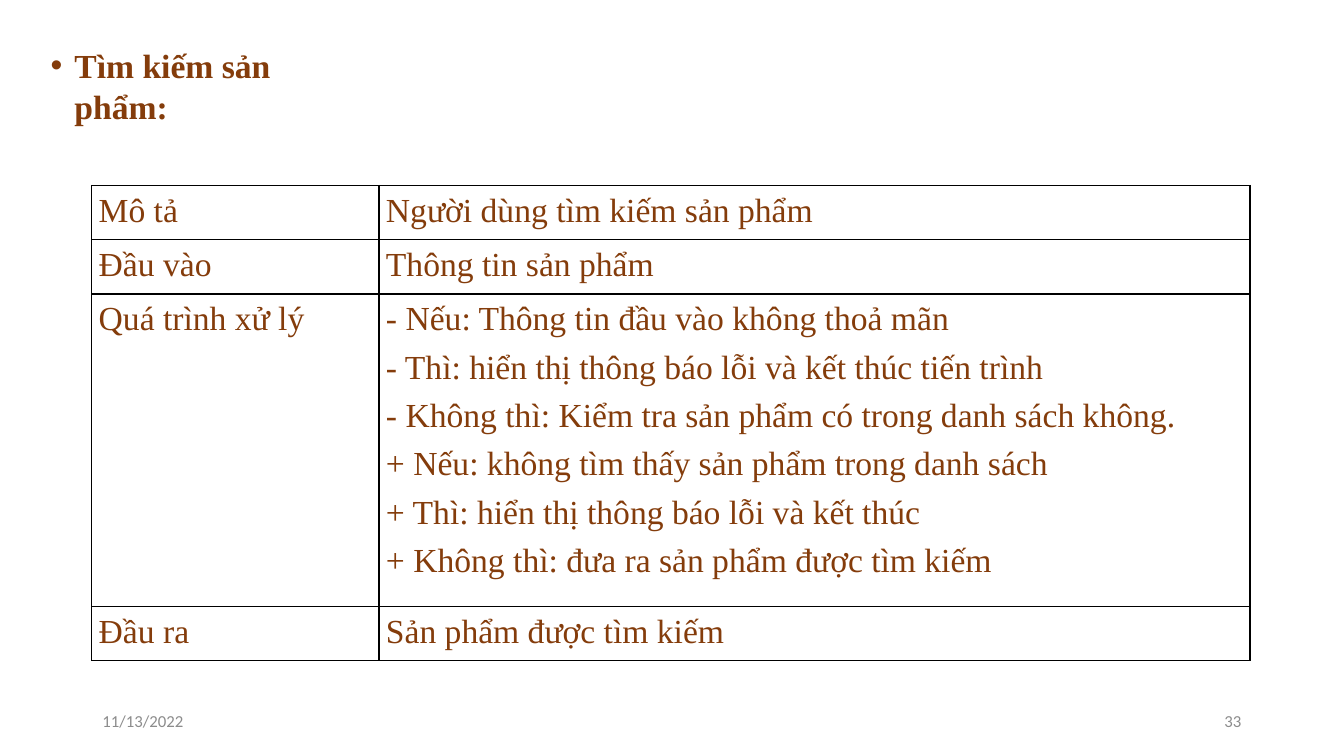
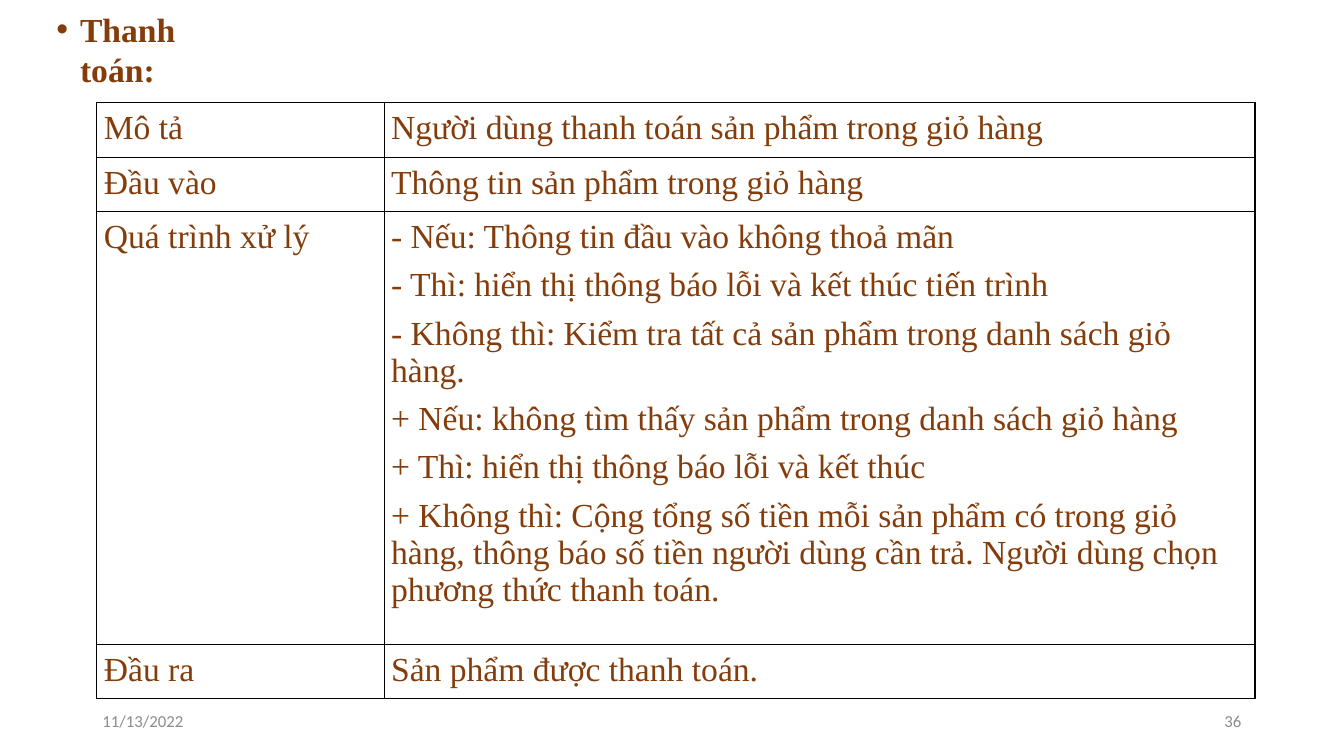
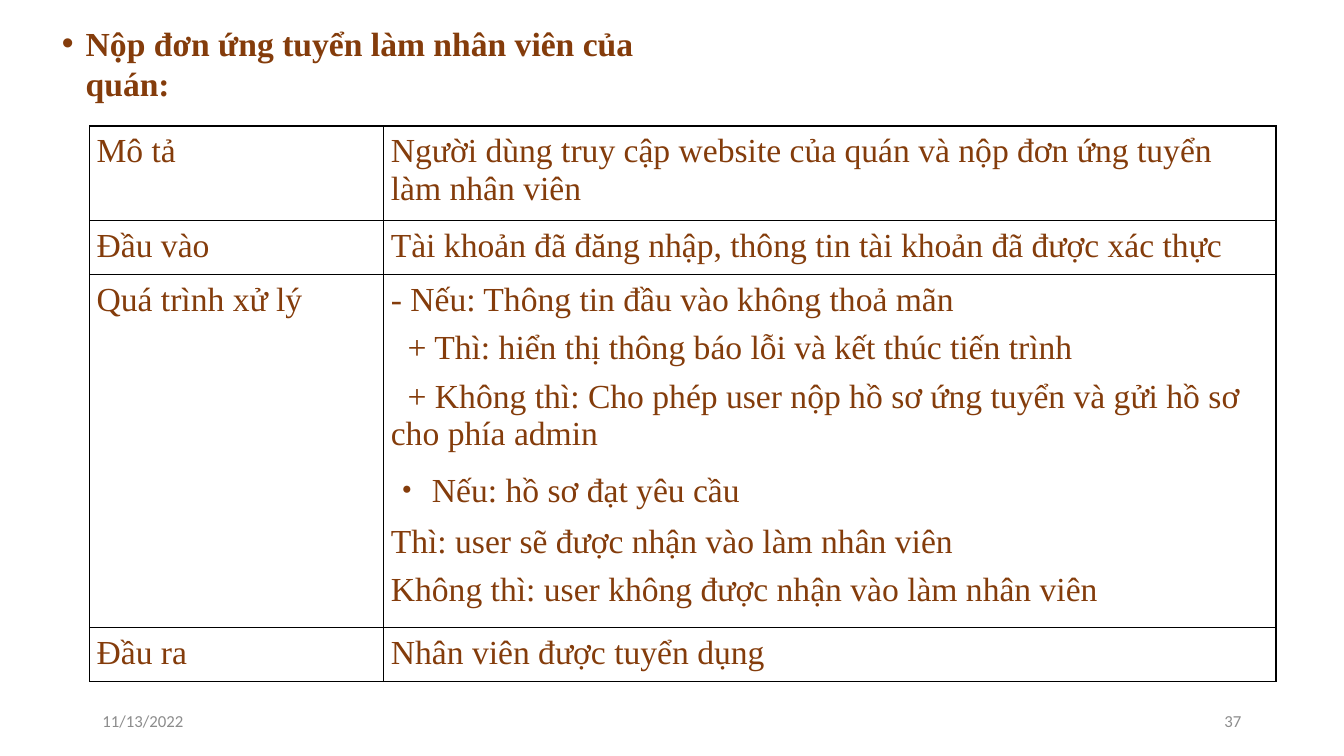
from copy import deepcopy

from lxml import etree
from pptx import Presentation
from pptx.dml.color import RGBColor
from pptx.enum.text import MSO_ANCHOR, MSO_AUTO_SIZE, PP_ALIGN
from pptx.oxml.ns import qn
from pptx.util import Pt

LEFT, RIGHT = PP_ALIGN.LEFT, PP_ALIGN.RIGHT
MIDDLE = MSO_ANCHOR.MIDDLE
NO_AUTOFIT = MSO_AUTO_SIZE.NONE

COLORS = {"text": "843C0B", "footer": "8C8C8C", "border": "000000"}
SERIF, SANS = "Times New Roman", "Calibri"
DATE = "11/13/2022"
LABELS = ["Mô tả", "Đầu vào", "Quá trình xử lý", "Đầu ra"]
LINE_ROW = 38.8
CELL_INSET = 5
PLUS_INDENT = 12  # first-line indent of the sub-steps
INDENTED = "\t"   # marks a sub-step in the lists below

FUNCTIONS = [
    {
        "number": 33,
        "title": "Tìm kiếm sản phẩm:",
        "title_box": (29, 47, 238),
        "table_at": (65.5, 132.5),
        "columns": (205.2, 622.1),
        "rows": (LINE_ROW, LINE_ROW, 222.9, LINE_ROW),
        "details": [
            ["Người dùng tìm kiếm sản phẩm"],
            ["Thông tin sản phẩm"],
            ["- Nếu: Thông tin đầu vào không thoả mãn",
             "- Thì: hiển thị thông báo lỗi và kết thúc tiến trình",
             "- Không thì: Kiểm tra sản phẩm có trong danh sách không.",
             "+ Nếu: không tìm thấy sản phẩm trong danh sách",
             "+ Thì: hiển thị thông báo lỗi và kết thúc",
             "+ Không thì: đưa ra sản phẩm được tìm kiếm"],
            ["Sản phẩm được tìm kiếm"],
        ],
    },
    {
        "number": 36,
        "title": "Thanh toán:",
        "title_box": (33, 21, 152),
        "table_at": (69.2, 73.5),
        "columns": (205.2, 622.1),
        "rows": (LINE_ROW, LINE_ROW, 309.2, LINE_ROW),
        "details": [
            ["Người dùng thanh toán sản phẩm trong giỏ hàng"],
            ["Thông tin sản phẩm trong giỏ hàng"],
            ["- Nếu: Thông tin đầu vào không thoả mãn",
             "- Thì: hiển thị thông báo lỗi và kết thúc tiến trình",
             "- Không thì: Kiểm tra tất cả sản phẩm trong danh sách giỏ hàng.",
             "+ Nếu: không tìm thấy sản phẩm trong danh sách giỏ hàng",
             "+ Thì: hiển thị thông báo lỗi và kết thúc",
             "+ Không thì: Cộng tổng số tiền mỗi sản phẩm có trong giỏ hàng, "
             "thông báo số tiền người dùng cần trả. Người dùng chọn phương thức "
             "thanh toán."],
            ["Sản phẩm được thanh toán."],
        ],
    },
    {
        "number": 37,
        "title": "Nộp đơn ứng tuyển làm nhân viên của quán:",
        "title_box": (37, 31, 485),
        "table_at": (64, 90),
        "columns": (210.2, 637.2),
        "rows": (67.4, LINE_ROW, 251.8, LINE_ROW),
        "details": [
            ["Người dùng truy cập website của quán và nộp đơn ứng tuyển làm nhân viên"],
            ["Tài khoản đã đăng nhập, thông tin tài khoản đã được xác thực"],
            ["- Nếu: Thông tin đầu vào không thoả mãn",
             INDENTED + "+ Thì: hiển thị thông báo lỗi và kết thúc tiến trình",
             INDENTED + "+ Không thì: Cho phép user nộp hồ sơ ứng tuyển và gửi hồ sơ "
             "cho phía admin",
             "・ Nếu: hồ sơ đạt yêu cầu",
             "Thì: user sẽ được nhận vào làm nhân viên",
             "Không thì: user không được nhận vào làm nhân viên"],
            ["Nhân viên được tuyển dụng"],
        ],
    },
]


def style(paragraph, size, face, color, bold=False):
    font = paragraph.font
    font.size, font.name, font.bold = Pt(size), face, bold
    font.color.rgb = RGBColor.from_string(COLORS[color])


def place(shape, left, top, width, height):
    shape.left, shape.top = Pt(left), Pt(top)
    shape.width, shape.height = Pt(width), Pt(height)


def add_title(slide, text, box):
    title = slide.shapes.title
    left, top, width = box
    place(title, left, top, width, 28)
    frame = title.text_frame
    frame.text = text
    frame.auto_size, frame.word_wrap = NO_AUTOFIT, False
    frame.vertical_anchor = MIDDLE
    frame.margin_top = frame.margin_bottom = 0
    paragraph = frame.paragraphs[0]
    paragraph.alignment = LEFT
    props = paragraph._p.get_or_add_pPr()
    etree.SubElement(props, qn("a:buFont"), typeface="Arial")
    etree.SubElement(props, qn("a:buChar"), char="•")
    style(paragraph, 24, SERIF, "text", bold=True)


def add_footer(slide, layout, number):
    """Put the layout's date and number placeholders on the slide."""
    footers = {10: (DATE, LEFT, 66), 12: (str(number), RIGHT, 678)}
    for holder in layout.placeholders:
        if holder.placeholder_format.idx not in footers:
            continue
        text, alignment, left = footers[holder.placeholder_format.idx]
        slide.shapes.element.append(deepcopy(holder.element))
        footer = slide.shapes[-1]
        place(footer, left, 500.5, 216, 28.8)
        footer.text_frame.text = text
        footer.text_frame.vertical_anchor = MIDDLE
        paragraph = footer.text_frame.paragraphs[0]
        paragraph.alignment = alignment
        style(paragraph, 12, SANS, "footer")


def add_borders(cell):
    props = cell._tc.get_or_add_tcPr()
    for side in ("lnL", "lnR", "lnT", "lnB"):
        line = etree.SubElement(props, qn("a:" + side), w=str(Pt(1)))
        fill = etree.SubElement(line, qn("a:solidFill"))
        etree.SubElement(fill, qn("a:srgbClr"), val=COLORS["border"])


def fill_cell(cell, lines):
    cell.margin_left = cell.margin_right = Pt(CELL_INSET)
    cell.margin_top = cell.margin_bottom = Pt(CELL_INSET)
    add_borders(cell)
    cell.fill.background()
    frame = cell.text_frame
    for index, line in enumerate(lines):
        paragraph = frame.add_paragraph() if index else frame.paragraphs[0]
        paragraph.text = line.removeprefix(INDENTED)
        paragraph.space_after = Pt(8)
        if line.startswith(INDENTED):
            paragraph._p.get_or_add_pPr().set("indent", str(Pt(PLUS_INDENT)))
        style(paragraph, 24, SERIF, "text")


def add_function_table(slide, function):
    columns, rows = function["columns"], function["rows"]
    left, top = function["table_at"]
    table = slide.shapes.add_table(
        len(rows), len(columns), Pt(left), Pt(top),
        Pt(sum(columns)), Pt(sum(rows))).table
    table.first_row = table.horz_banding = False
    for column, width in zip(table.columns, columns):
        column.width = Pt(width)
    for row, height, label, details in zip(
            table.rows, rows, LABELS, function["details"]):
        row.height = Pt(height)
        fill_cell(row.cells[0], [label])
        fill_cell(row.cells[1], details)


def main():
    deck = Presentation()
    deck.slide_width, deck.slide_height = Pt(960), Pt(540)
    layout = deck.slide_layouts[5]
    for function in FUNCTIONS:
        slide = deck.slides.add_slide(layout)
        add_title(slide, function["title"], function["title_box"])
        add_footer(slide, layout, function["number"])
        add_function_table(slide, function)
    deck.save("out.pptx")


if __name__ == "__main__":
    main()
